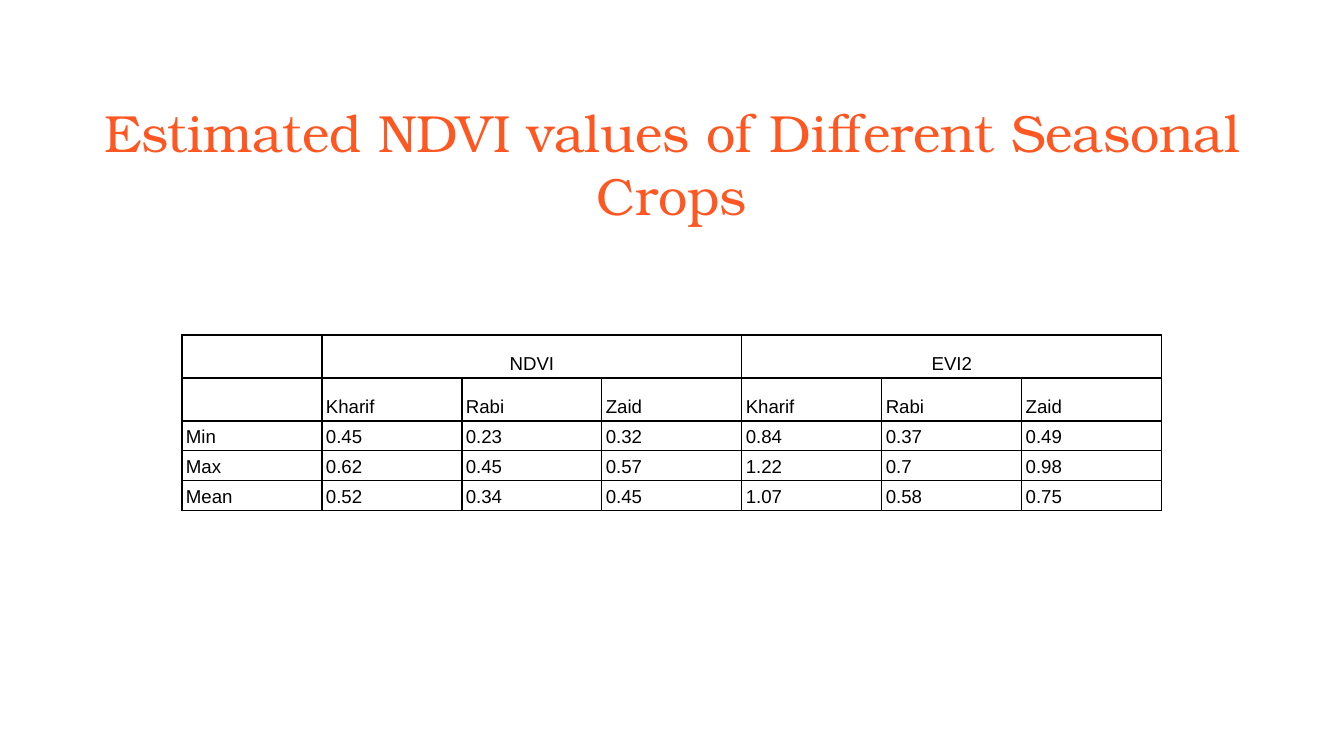
from lxml.etree import SubElement
from pptx import Presentation
from pptx.dml.color import RGBColor as Color
from pptx.enum.text import MSO_ANCHOR as Anchor, MSO_AUTO_SIZE as AutoSize, PP_ALIGN as Align
from pptx.oxml.ns import qn
from pptx.util import Pt

PX = 914400 / 134.4
COLORS = {"title": "FF5722", "ink": "000000"}
SEASONS = ["Kharif", "Rabi", "Zaid"]
ROWS = [
    ["", "NDVI", "", "", "EVI2", "", ""],
    ["", *SEASONS, *SEASONS],
    ["Min", "0.45", "0.23", "0.32", "0.84", "0.37", "0.49"],
    ["Max", "0.62", "0.45", "0.57", "1.22", "0.7", "0.98"],
    ["Mean", "0.52", "0.34", "0.45", "1.07", "0.58", "0.75"],
]
ROW_HEIGHTS = [43, 43, 30, 30, 30]
COLUMN_WIDTH = 140


def px(length):
    return round(length * PX)


def style_text(para, font, size, color):
    para.font.name = font
    para.font.size = Pt(size)
    para.font.color.rgb = Color.from_string(COLORS[color])


deck = Presentation()
deck.slide_width, deck.slide_height = px(1344), px(756)
page = deck.slides.add_slide(deck.slide_layouts[5])

title = page.shapes.title
title.left, title.top, title.width, title.height = px(46), px(87), px(1252), px(84)
frame = title.text_frame
frame.text = "Estimated NDVI values of Different Seasonal Crops"
frame.word_wrap = True
frame.auto_size = AutoSize.NONE
frame.vertical_anchor = Anchor.TOP
frame.margin_left = frame.margin_right = frame.margin_top = frame.margin_bottom = px(13)
para = frame.paragraphs[0]
para.alignment = Align.CENTER
style_text(para, "TeX Gyre Bonum", 28, "title")

table = page.shapes.add_table(
    len(ROWS), len(ROWS[0]), px(182), px(335),
    px(COLUMN_WIDTH * len(ROWS[0])), px(sum(ROW_HEIGHTS)),
).table
table.first_row = table.horz_banding = False
for column in table.columns:
    column.width = px(COLUMN_WIDTH)

for row, (values, height) in enumerate(zip(ROWS, ROW_HEIGHTS)):
    table.rows[row].height = px(height)
    for column, value in enumerate(values):
        cell = table.cell(row, column)
        cell.text = value
        cell.vertical_anchor = Anchor.BOTTOM
        cell.margin_left = cell.margin_right = px(4)
        cell.margin_top = cell.margin_bottom = px(3)
        para = cell.text_frame.paragraphs[0]
        para.line_spacing = 1.15
        para.alignment = Align.CENTER if row == 0 else Align.LEFT
        style_text(para, "Arial", 10, "ink")
        properties = cell._tc.get_or_add_tcPr()
        for side in ("a:lnL", "a:lnR", "a:lnT", "a:lnB"):
            border = SubElement(properties, qn(side), w=str(Pt(0.75)))
            fill = SubElement(border, qn("a:solidFill"))
            SubElement(fill, qn("a:srgbClr"), val=COLORS["ink"])
        cell.fill.background()

for first in (1, 4):
    table.cell(0, first).merge(table.cell(0, first + 2))

deck.save("out.pptx")
